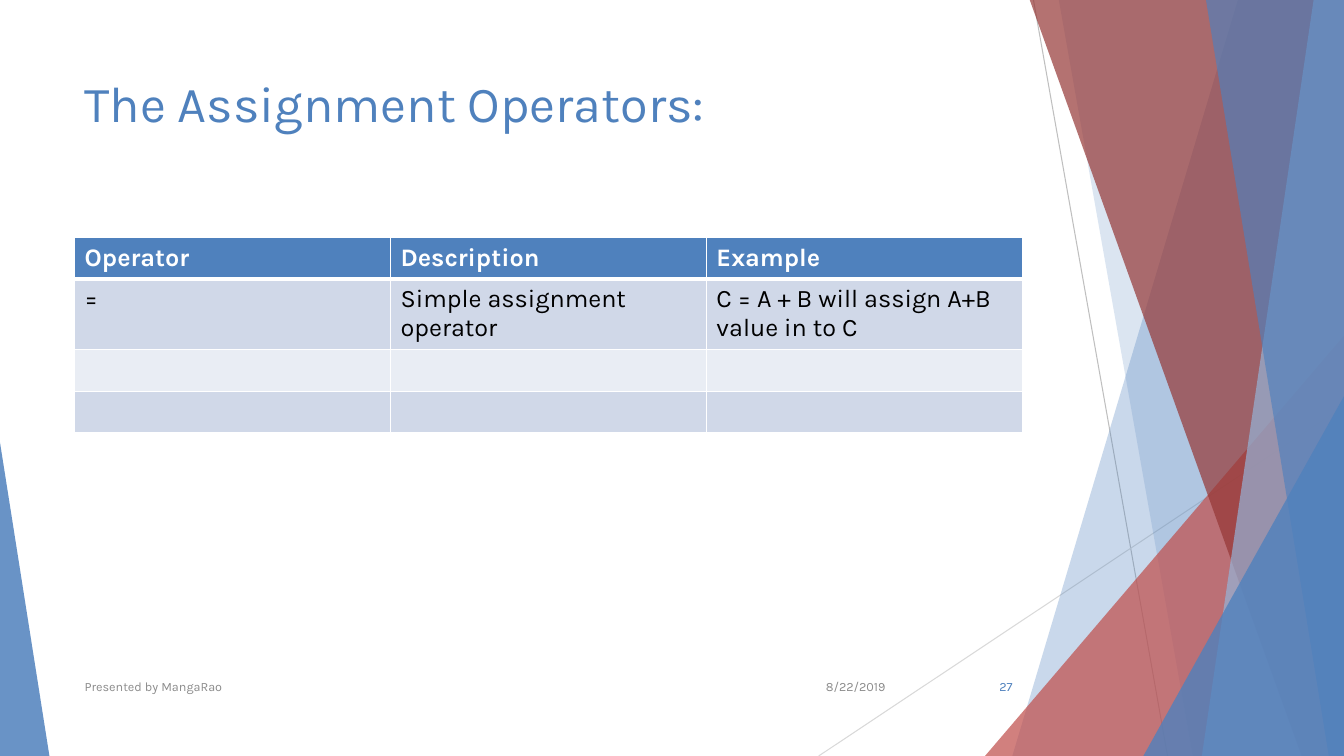
from lxml import etree
from pptx import Presentation
from pptx.dml.color import RGBColor
from pptx.enum import shapes, text
from pptx.oxml.ns import qn
from pptx.util import Inches, Pt

BLUE = RGBColor(0x4F, 0x81, 0xBD)
PALE = RGBColor(0x95, 0xB3, 0xD7)
RED = RGBColor(0xC0, 0x50, 0x4D)
WINE = RGBColor(0x95, 0x37, 0x35)
GRAY = RGBColor(0x8C, 0x8C, 0x8C)
SILVER = RGBColor(0xBF, 0xBF, 0xBF)
MIST = RGBColor(0xD9, 0xD9, 0xD9)
BAND = RGBColor(0xD0, 0xD8, 0xE8)
LIGHT = RGBColor(0xE9, 0xED, 0xF4)
WHITE = RGBColor(0xFF, 0xFF, 0xFF)
BLACK = RGBColor(0, 0, 0)
WIDE, HIGH, TOP = 13.33, 7.5, -0.01

deck = Presentation()
deck.slide_width, deck.slide_height = Inches(WIDE), Inches(HIGH)
slide = deck.slides.add_slide(deck.slide_layouts[6])
items = slide.shapes


def write(frame, words, size=18, color=BLACK, bold=False, align=text.PP_ALIGN.LEFT):
    frame.word_wrap = True
    para = frame.paragraphs[0]
    para.alignment = align
    run = para.add_run()
    run.text = words
    run.font.name = "Karla"
    run.font.size = Pt(size)
    run.font.bold = bold
    run.font.color.rgb = color


def paint(shape, color, alpha):
    shape.shadow.inherit = False
    shape.line.fill.background()
    shape.fill.solid()
    shape.fill.fore_color.rgb = color
    tint = shape.fill._xPr.find(qn("a:solidFill"))[0]
    etree.SubElement(tint, qn("a:alpha"), val=str(alpha * 1000))


for x1, y1, x2, y2, color in [
    (10.25, 0, 11.58, HIGH, SILVER),
    (WIDE, 4.03, 8.12, HIGH, MIST),
]:
    line = items.add_connector(
        shapes.MSO_CONNECTOR.STRAIGHT, Inches(x1), Inches(y1), Inches(x2), Inches(y2)
    )
    line.line.color.rgb = color
    line.line.width = Pt(0.75)
    etree.SubElement(line._element.spPr, qn("a:effectLst"))

panels = [
    ("band", (12.28, 10.04), BLUE, 30),
    ("band", (10.5, 11.83), BLUE, 20),
    ("wedge", (9.77, 3.33, 3.56, 1), RED, 72),
    ("band", (10.21, 12.91), WINE, 70),
    ("band", (13.03, 11.92), PALE, 70),
    ("band", (11.96, 13.18), BLUE, 65),
    ("wedge", (11.34, 3.93, 1.99, 1), BLUE, 80),
    ("wedge", (0, 4.39, 0.49, 0), BLUE, 85),
]
for kind, place, color, alpha in panels:
    if kind == "band":
        upper, lower = place
        path = items.build_freeform(Inches(upper), Inches(TOP))
        ends = [(WIDE, TOP), (WIDE, HIGH), (lower, HIGH)]
        path.add_line_segments([(Inches(x), Inches(y)) for x, y in ends])
        panel = path.convert_to_shape()
    else:
        left, top, width, peak = place
        panel = items.add_shape(
            shapes.MSO_SHAPE.ISOSCELES_TRIANGLE,
            Inches(left), Inches(top), Inches(width), Inches(HIGH - top),
        )
        panel.adjustments[0] = peak
    paint(panel, color, alpha)

RIGHT = text.PP_ALIGN.RIGHT
MID, HEAD = text.MSO_ANCHOR.MIDDLE, text.MSO_ANCHOR.TOP
for words, left, top, width, height, anchor, style in [
    ("The Assignment Operators:", 0.74, 0.67, 9.4, 1.44, HEAD, dict(size=36, color=BLUE)),
    ("8/22/2019", 7.88, 6.61, 1, 0.4, MID, dict(size=9, color=GRAY, align=RIGHT)),
    ("Presented by MangaRao", 0.74, 6.61, 6.89, 0.4, MID, dict(size=9, color=GRAY)),
    ("27", 9.39, 6.61, 0.75, 0.4, MID, dict(size=9, color=BLUE, align=RIGHT)),
]:
    box = items.add_textbox(Inches(left), Inches(top), Inches(width), Inches(height))
    box.text_frame.vertical_anchor = anchor
    write(box.text_frame, words, **style)

rows = [
    ("Operator", "Description", "Example"),
    ("=", "Simple assignment operator", "C = A + B will assign A+B value in to C"),
    ("", "", ""),
    ("", "", ""),
]
fills = [BLUE, BAND, LIGHT, BAND]
table = items.add_table(
    len(rows), 3, Inches(0.74), Inches(2.36), Inches(9.4), Inches(1.92)
).table
for r, row in enumerate(rows):
    table.rows[r].height = Inches(0.69 if r == 1 else 0.41)
    for c, words in enumerate(row):
        cell = table.cell(r, c)
        props = cell._tc.get_or_add_tcPr()
        for side in ("lnL", "lnR", "lnT", "lnB"):
            thick = (r, side) in [(0, "lnB"), (1, "lnT")]
            edge = etree.SubElement(props, qn("a:" + side), w=str(Pt(3 if thick else 1)))
            solid = etree.SubElement(edge, qn("a:solidFill"))
            etree.SubElement(solid, qn("a:srgbClr"), val=str(WHITE))
        cell.fill.solid()
        cell.fill.fore_color.rgb = fills[r]
        if words:
            write(cell.text_frame, words, color=BLACK if r else WHITE, bold=r == 0)

deck.save("out.pptx")
